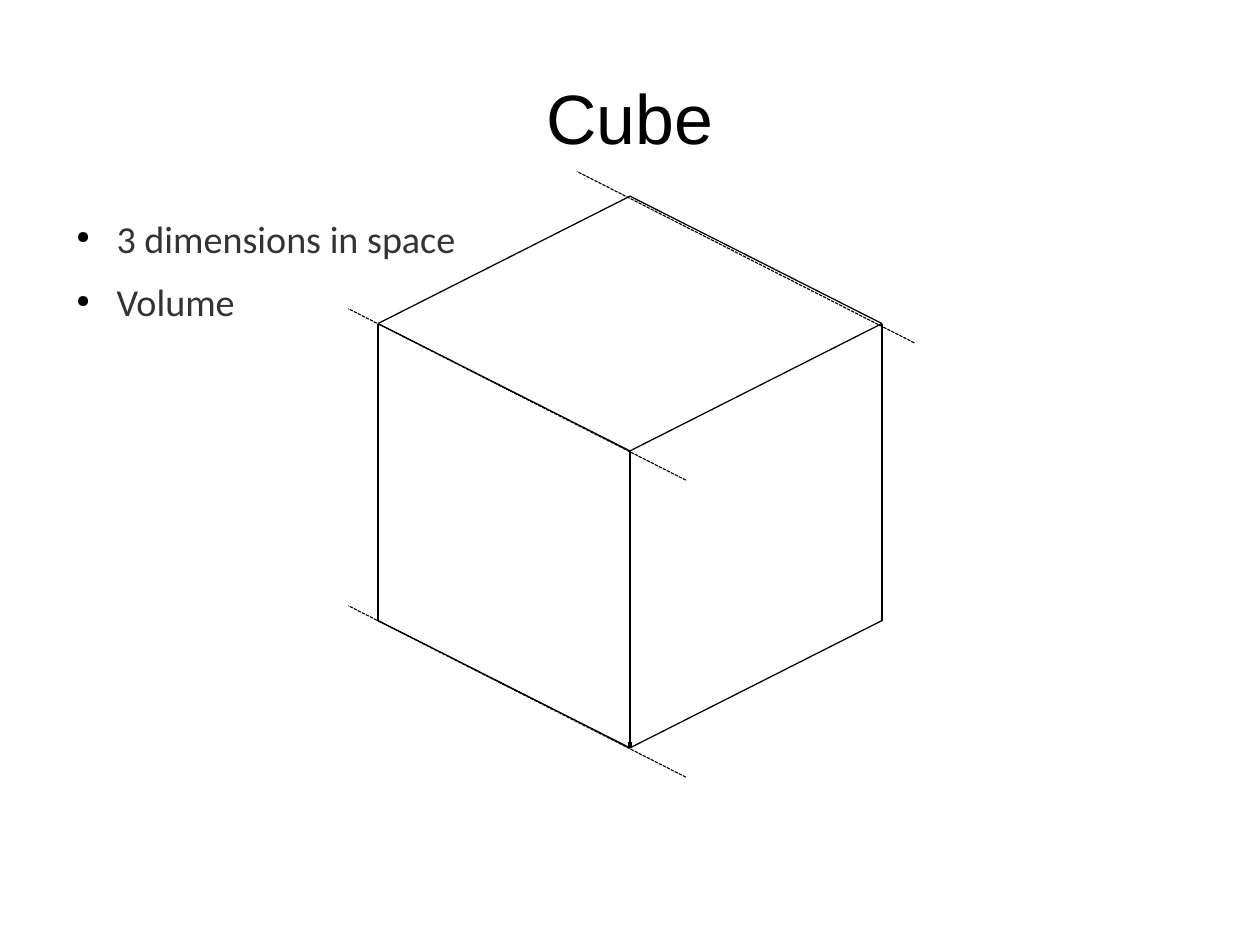
from dataclasses import dataclass

import lxml.etree
import pptx
import pptx.dml.color
import pptx.enum.dml
import pptx.enum.shapes
import pptx.enum.text
import pptx.oxml.ns
import pptx.shapes.connector
import pptx.text.text
import pptx.util
from pptx.util import Cm

Point = tuple[float, float]
qn = pptx.oxml.ns.qn


@dataclass
class Stroke:
    start: Point
    end: Point
    width: float = 0.79
    dashed: bool = False


@dataclass
class TextStyle:
    font: str
    size: float
    color: str


def rgb(value: str) -> pptx.dml.color.RGBColor:
    return pptx.dml.color.RGBColor.from_string(value)


def shift(point: Point, dx: float, dy: float) -> Point:
    return point[0] + dx, point[1] + dy


def draw_stroke(slide, stroke: Stroke) -> pptx.shapes.connector.Connector:
    ends = [Cm(value) for value in (*stroke.start, *stroke.end)]
    edge = slide.shapes.add_connector(pptx.enum.shapes.MSO_CONNECTOR.STRAIGHT, *ends)
    edge.line.color.rgb = rgb("000000")
    edge.line.width = pptx.util.Pt(stroke.width)
    if stroke.dashed:
        edge.line.dash_style = pptx.enum.dml.MSO_LINE.SQUARE_DOT
    lxml.etree.SubElement(edge.element.spPr, qn("a:effectLst"))
    return edge


def add_text(slide, box: tuple[float, ...], lines: list[str],
             style: TextStyle, layout: dict) -> list[pptx.text.text._Paragraph]:
    frame = slide.shapes.add_textbox(*map(Cm, box)).text_frame
    frame_format = {"word_wrap": True, "margin_left": 0, "margin_top": 0,
                    "margin_right": 0, "margin_bottom": 0}
    for name, value in (frame_format | layout).items():
        setattr(frame, name, value)
    frame.text = "\n".join(lines)
    for paragraph in frame.paragraphs:
        font = paragraph.runs[0].font
        font.name, font.size = style.font, pptx.util.Pt(style.size)
        font.color.rgb = rgb(style.color)
    return list(frame.paragraphs)


def add_bullet(paragraph: pptx.text.text._Paragraph) -> None:
    paragraph.line_spacing = 0.9
    paragraph.space_after = pptx.util.Pt(14.1)
    properties = paragraph._p.get_or_add_pPr()
    properties.set("marL", str(Cm(1.19)))
    properties.set("indent", str(Cm(-0.89)))
    color = lxml.etree.SubElement(properties, qn("a:buClr"))
    lxml.etree.SubElement(color, qn("a:srgbClr"), val="000000")
    lxml.etree.SubElement(properties, qn("a:buSzPct"), val="45000")
    lxml.etree.SubElement(properties, qn("a:buChar"), char="●")


def main() -> None:
    deck = pptx.Presentation()
    deck.slide_width, deck.slide_height = Cm(28), Cm(21)
    slide = deck.slides.add_slide(deck.slide_layouts[6])

    # Cube corners
    half_width, half_depth, height = 5.6, 2.83, 6.6
    front = (14.0, 10.02)
    left = shift(front, -half_width, -half_depth)
    right = shift(front, half_width, -half_depth)
    back = shift(front, 0, -2 * half_depth)
    left_foot, front_foot, right_foot = (
        shift(corner, 0, height) for corner in (left, front, right))

    # Cube edges
    edges = [
        (left_foot, front_foot), (front_foot, right_foot),
        (front, right), (left, front), (back, right), (left, back),
        (right, right_foot), (left, left_foot), (front, front_foot),
    ]
    strokes = [Stroke(start, end) for start, end in edges]

    # Parallel guide lines and the mark at the front foot
    for guide in ((15.24, 10.67), (20.32, 7.62), (15.24, 17.27)):
        strokes.append(Stroke(guide, shift(guide, -7.5, -3.81), 0.71, True))
    strokes.append(Stroke(shift(front_foot, 0, -0.12), front_foot, 2.15))
    for stroke in strokes:
        draw_stroke(slide, stroke)

    # Title
    title = add_text(slide, (1.4, 0.84, 25.2, 3.5), ["Cube"],
                     TextStyle("Arial", 44, "000000"),
                     {"vertical_anchor": pptx.enum.text.MSO_ANCHOR.MIDDLE})
    title[0].alignment = pptx.enum.text.PP_ALIGN.CENTER

    # Properties of the cube
    facts = add_text(slide, (1.4, 4.9, 25.2, 13.87),
                     ["3 dimensions in space", "Volume"],
                     TextStyle("Calibri", 24, "333333"),
                     {"vertical_anchor": pptx.enum.text.MSO_ANCHOR.TOP})
    for fact in facts:
        add_bullet(fact)

    deck.save("out.pptx")


if __name__ == "__main__":
    main()
